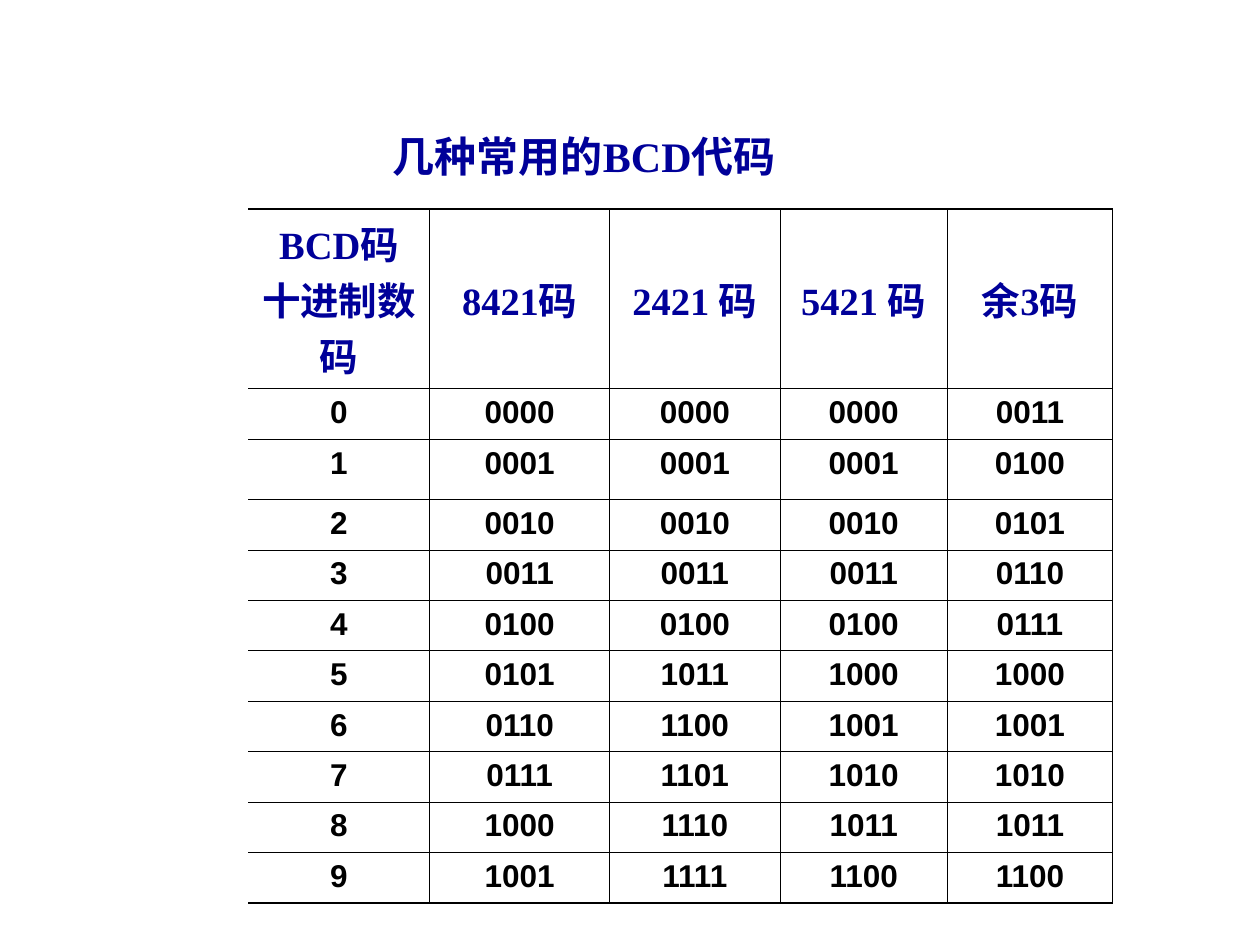
from lxml.etree import SubElement
from pptx import Presentation
from pptx.dml.color import RGBColor
from pptx.enum.text import MSO_ANCHOR, MSO_AUTO_SIZE, PP_ALIGN
from pptx.oxml.ns import qn
from pptx.util import Inches, Pt

# Content
TITLE_RUNS = [("几种常用", "Noto Sans CJK SC"), ("的BCD代码", "Times New Roman")]
HEADERS = ["BCD码十进制数码", "8421码", "2421 码", "5421 码", "余3码"]
CODES = [
    ("0000", "0000", "0000", "0011"),
    ("0001", "0001", "0001", "0100"),
    ("0010", "0010", "0010", "0101"),
    ("0011", "0011", "0011", "0110"),
    ("0100", "0100", "0100", "0111"),
    ("0101", "1011", "1000", "1000"),
    ("0110", "1100", "1001", "1001"),
    ("0111", "1101", "1010", "1010"),
    ("1000", "1110", "1011", "1011"),
    ("1001", "1111", "1100", "1100"),
]
ROWS = [HEADERS] + [(str(digit), *codes) for digit, codes in enumerate(CODES)]

# Style and measures
COLORS = {"heading": "000099", "code": "000000", "rule": "000000"}
CJK_FONT = "Noto Sans CJK SC"
COL_WIDTHS = [1.44, 1.43, 1.35, 1.33, 1.31]
ROW_HEIGHTS = [1.2, 0.4, 0.48] + [0.4] * 8
THIN, THICK = 0.45, 1.08


def style_font(font, size, color):
    font.size = Pt(size)
    font.bold = True
    font.color.rgb = RGBColor.from_string(COLORS[color])


def set_typeface(run, name):
    run.font.name = name
    SubElement(run.font._element, qn("a:ea"), typeface=CJK_FONT)


def add_border(cell, side, width):
    line = SubElement(cell._tc.get_or_add_tcPr(), qn(f"a:ln{side}"), w=str(Pt(width)))
    if width:
        fill = SubElement(line, qn("a:solidFill"))
        SubElement(fill, qn("a:srgbClr"), val=COLORS["rule"])
    else:
        SubElement(line, qn("a:noFill"))


prs = Presentation()
prs.slide_width, prs.slide_height = Inches(10), Inches(7.5)
slide = prs.slides.add_slide(prs.slide_layouts[6])

# Code table
table = slide.shapes.add_table(
    len(ROWS), len(HEADERS), Inches(1.97), Inches(1.66),
    Inches(sum(COL_WIDTHS)), Inches(sum(ROW_HEIGHTS))).table
table.first_row = table.horz_banding = False
for column, width in zip(table.columns, COL_WIDTHS):
    column.width = Inches(width)
for row, height in zip(table.rows, ROW_HEIGHTS):
    row.height = Inches(height)

for r, values in enumerate(ROWS):
    is_header, is_last = r == 0, r == len(ROWS) - 1
    for c, value in enumerate(values):
        cell = table.cell(r, c)
        cell.vertical_anchor = MSO_ANCHOR.MIDDLE if is_header else MSO_ANCHOR.TOP
        borders = {"L": THIN if c else 0, "R": THIN,
                   "T": THICK if is_header else THIN,
                   "B": THICK if is_last else THIN}
        for side, width in borders.items():
            add_border(cell, side, width)
        cell.fill.background()

        paragraph = cell.text_frame.paragraphs[0]
        paragraph.alignment = PP_ALIGN.CENTER
        run = paragraph.add_run()
        run.text = value
        if is_header:
            style_font(run.font, 22, "heading")
        else:
            style_font(run.font, 18, "code")
        set_typeface(run, "Times New Roman" if is_header else "Arial")

# Title
title = slide.shapes.add_textbox(Inches(3.02), Inches(1.03), Inches(4.22), Inches(0.46))
title.text_frame.word_wrap = True
title.text_frame.auto_size = MSO_AUTO_SIZE.SHAPE_TO_FIT_TEXT
title_line = title.text_frame.paragraphs[0]
title_line.line_spacing = 0.9
for text, typeface in TITLE_RUNS:
    run = title_line.add_run()
    run.text = text
    style_font(run.font, 24, "heading")
    set_typeface(run, typeface)

prs.save("out.pptx")
